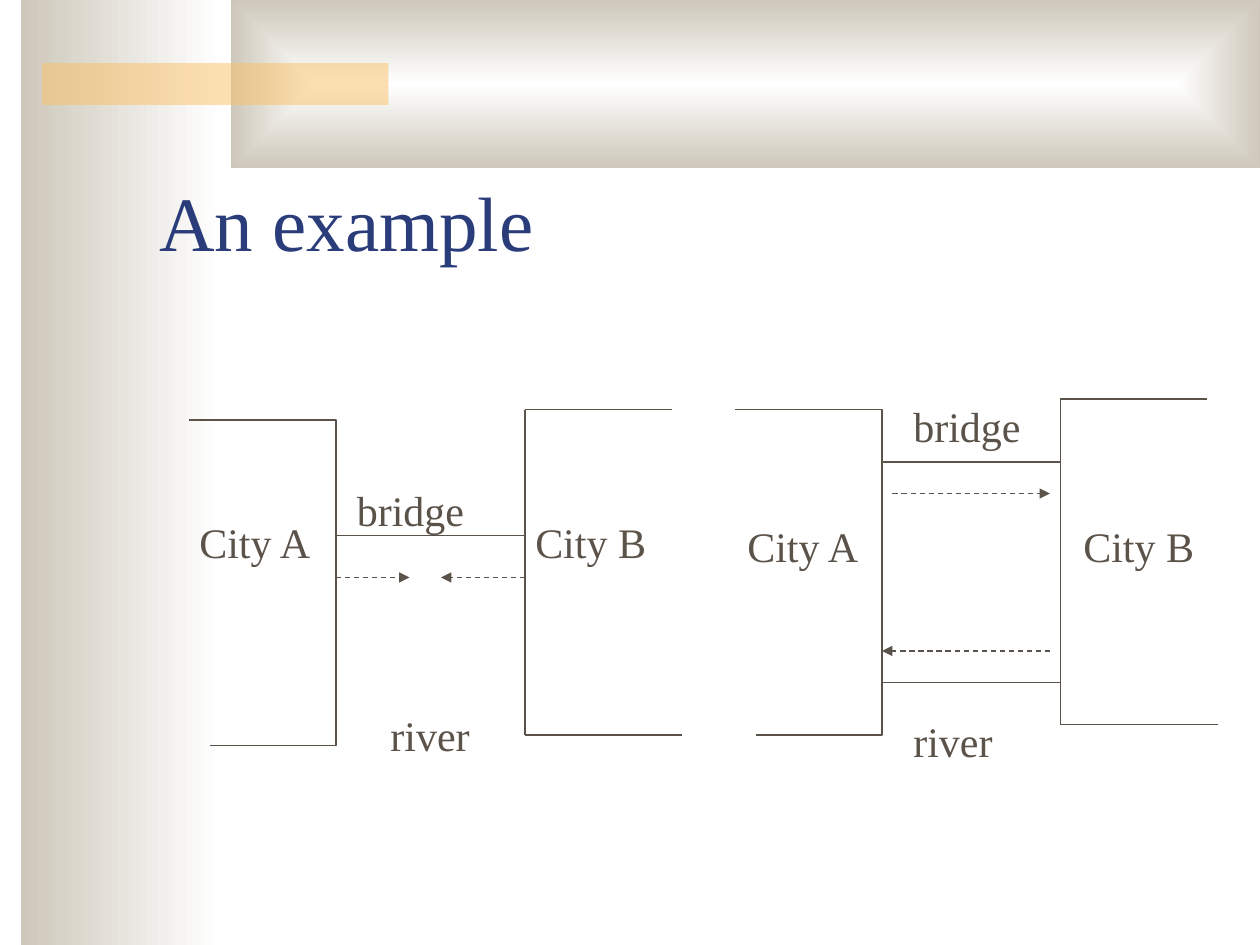
from dataclasses import dataclass

import pptx
import pptx.dml.color
import pptx.enum.dml
import pptx.enum.shapes
import pptx.enum.text
import pptx.oxml
import pptx.oxml.ns
import pptx.util

COLORS = {
    "ink": "5B5249",
    "title": "2A3D7A",
    "sand": "CEC8BA",
    "white": "FFFFFF",
    "accent": "FAC164",
}
FONT = "Times New Roman"
GRID_CM = 2.54 / 12  # the slide is 120 by 90 grid steps


@dataclass
class Bank:
    """A city's river bank: two arms and the edge between them."""
    arm_x: float
    edge_x: float
    top: float
    foot_x: float
    height: float = 31

    def points(self) -> list[tuple[float, float]]:
        bottom = self.top + self.height
        return [(self.arm_x, self.top), (self.edge_x, self.top),
                (self.edge_x, bottom), (self.foot_x, bottom)]


@dataclass
class Level:
    """A horizontal line: a bridge, or a dashed arrow for traffic."""
    start_x: float
    end_x: float
    y: float
    arrow: bool = False


@dataclass
class Label:
    text: str
    left: float
    top: float
    width: float
    height: float = 6
    size: int = 24
    color: str = "ink"


CITY_A_BANKS = [Bank(18, 32, 40, 20), Bank(70, 84, 39, 72)]
CITY_B_BANKS = [Bank(64, 50, 39, 65), Bank(115, 101, 38, 116)]
LEVELS = [
    # One bridge, traffic meeting in the middle
    Level(32, 50, 51),
    Level(32, 39, 55, arrow=True),
    Level(50, 42, 55, arrow=True),
    # Two bridges, one for each direction
    Level(84, 101, 44),
    Level(84, 101, 65),
    Level(85, 100, 47, arrow=True),
    Level(100, 84, 62, arrow=True),
]
LABELS = [
    Label("City A", 17.8, 48.6, 13.2),
    Label("City B", 49.8, 48.6, 13),
    Label("bridge", 32.8, 45.6, 12.6),
    Label("river", 36, 67, 10),
    Label("City A", 70, 49, 13.2),
    Label("City B", 102, 49, 13),
    Label("bridge", 85.8, 37.6, 12.6),
    Label("river", 85.8, 67.6, 10),
]
TITLE = Label("An example", 14, 11, 102, 15, 44, "title")


def grid(steps: float) -> pptx.util.Length:
    return pptx.util.Cm(steps * GRID_CM)


def rgb(name: str) -> pptx.dml.color.RGBColor:
    return pptx.dml.color.RGBColor.from_string(COLORS[name])


def add_band(slide, left: float, top: float, width: float, height: float):
    shape = slide.shapes.add_shape(
        pptx.enum.shapes.MSO_SHAPE.RECTANGLE,
        grid(left), grid(top), grid(width), grid(height))
    shape.shadow.inherit = False
    shape.line.fill.background()
    return shape


def fill_gradient(shape) -> None:
    """Fade from white to sand, towards the left."""
    shape.fill.gradient()
    shape.fill.gradient_angle = 180
    for stop, position, name in zip(shape.fill.gradient_stops, (0, 1), ("white", "sand")):
        stop.position = position
        stop.color.rgb = rgb(name)


def add_background(slide) -> None:
    fill_gradient(add_band(slide, 2, 0, 19, 90))

    # Top band fades from its centre to all four sides
    top_band = add_band(slide, 22, 0, 98, 16)
    fill_gradient(top_band)
    linear = top_band.element.spPr.find(".//" + pptx.oxml.ns.qn("a:lin"))
    rectangular = pptx.oxml.parse_xml(
        f'<a:path {pptx.oxml.ns.nsdecls("a")} path="rect">'
        '<a:fillToRect l="50000" t="50000" r="50000" b="50000"/></a:path>')
    linear.getparent().replace(linear, rectangular)

    # Half-transparent accent bar
    accent = add_band(slide, 4, 6, 33, 4)
    accent.fill.solid()
    accent.fill.fore_color.rgb = rgb("accent")
    color = accent.element.spPr.find(".//" + pptx.oxml.ns.qn("a:srgbClr"))
    color.append(pptx.oxml.parse_xml(
        f'<a:alpha {pptx.oxml.ns.nsdecls("a")} val="50000"/>'))


def style_line(line) -> None:
    line.color.rgb = rgb("ink")
    line.width = pptx.util.Pt(0.75)


def add_outline(slide, bank: Bank) -> None:
    start, *others = [(grid(x), grid(y)) for x, y in bank.points()]
    builder = slide.shapes.build_freeform(*start)
    builder.add_line_segments(others, close=False)
    shape = builder.convert_to_shape()
    shape.shadow.inherit = False
    shape.fill.background()
    style_line(shape.line)


def add_line(slide, start: tuple[float, float], end: tuple[float, float],
             arrow: bool = False) -> None:
    connector = slide.shapes.add_connector(
        pptx.enum.shapes.MSO_CONNECTOR.STRAIGHT,
        *map(grid, start), *map(grid, end))
    style_line(connector.line)
    properties = connector.element.spPr
    if arrow:
        connector.line.dash_style = pptx.enum.dml.MSO_LINE.DASH
        properties.find(pptx.oxml.ns.qn("a:ln")).append(pptx.oxml.parse_xml(
            f'<a:tailEnd {pptx.oxml.ns.nsdecls("a")} type="triangle"/>'))
    properties.append(pptx.oxml.parse_xml(
        f'<a:effectLst {pptx.oxml.ns.nsdecls("a")}/>'))


def add_label(slide, label: Label):
    box = slide.shapes.add_textbox(
        grid(label.left), grid(label.top), grid(label.width), grid(label.height))
    frame = box.text_frame
    frame.word_wrap = False
    frame.auto_size = pptx.enum.text.MSO_AUTO_SIZE.SHAPE_TO_FIT_TEXT
    paragraph = frame.paragraphs[0]
    paragraph.text = label.text
    paragraph.font.name = FONT
    paragraph.font.size = pptx.util.Pt(label.size)
    paragraph.font.color.rgb = rgb(label.color)
    return frame


def main() -> None:
    presentation = pptx.Presentation()
    presentation.slide_width = grid(120)
    presentation.slide_height = grid(90)
    slide = presentation.slides.add_slide(presentation.slide_layouts[6])

    add_background(slide)

    # Title
    title = add_label(slide, TITLE)
    title.auto_size = pptx.enum.text.MSO_AUTO_SIZE.NONE
    title.word_wrap = True
    title.vertical_anchor = pptx.enum.text.MSO_ANCHOR.BOTTOM

    # River banks
    for bank in CITY_A_BANKS:
        add_outline(slide, bank)
    for bank in CITY_B_BANKS:
        points = bank.points()
        for start, end in zip(points, points[1:]):
            add_line(slide, start, end)

    # Bridges and traffic
    for level in LEVELS:
        add_line(slide, (level.start_x, level.y), (level.end_x, level.y), level.arrow)

    for label in LABELS:
        add_label(slide, label)

    presentation.save("out.pptx")


if __name__ == "__main__":
    main()
